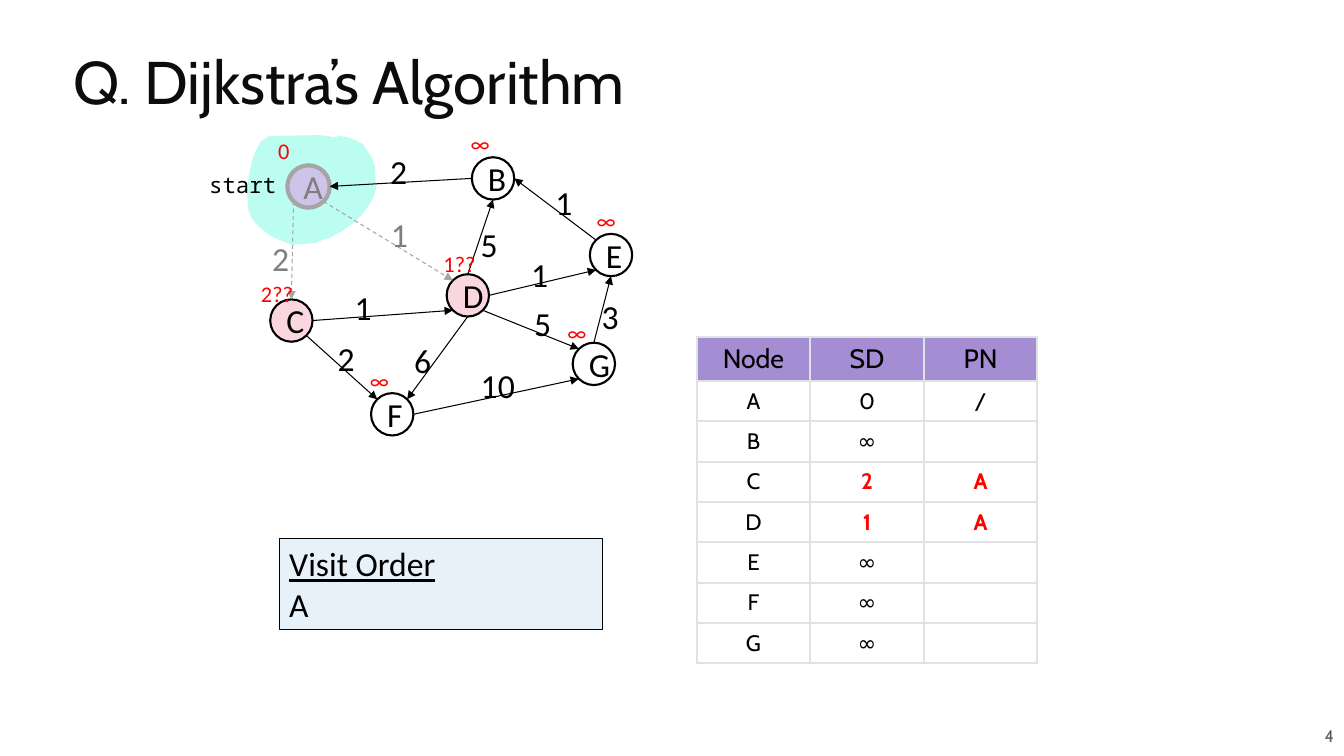
from math import cos, radians, sin

from lxml import etree
from pptx import Presentation
from pptx.dml.color import RGBColor
from pptx.enum import dml, shapes, text
from pptx.oxml import ns
from pptx.util import Inches, Pt

BLACK, RED, GREY, PALE = "000000", "FF0000", "7F7F7F", "A5A5A5"
PINK, LILAC = "FAD7DE", "CEC4EB"
SIZE = 0.42

# name: left, top, fill
NODES = {
    "A": (2.85, 1.64, LILAC), "B": (4.68, 1.56, None), "C": (2.68, 2.97, PINK),
    "D": (4.43, 2.72, PINK), "F": (3.68, 3.9, None), "E": (5.85, 2.32, None),
    "G": (5.68, 3.4, None),
}
# from node and site, to node and site, weight, left and top of the weight
# sites run counter-clockwise from 0 at the top, in steps of 45 degrees
EDGES = [
    ("A", 3, "C", 0, "2", 2.6, 2.31), ("B", 2, "A", 6, "2", 3.77, 1.45),
    ("D", 0, "B", 4, "5", 4.67, 2.17), ("A", 5, "D", 1, "1", 3.78, 2.07),
    ("C", 6, "D", 3, "1", 3.42, 2.8), ("D", 6, "E", 3, "1", 5.17, 2.47),
    ("E", 1, "B", 6, "1", 5.41, 1.76), ("C", 5, "F", 1, "2", 3.25, 3.3),
    ("D", 4, "F", 7, "6", 4.01, 3.32), ("D", 5, "G", 1, "5", 5.2, 2.96),
    ("G", 0, "E", 4, "3", 5.87, 2.89), ("F", 6, "G", 3, "10", 4.67, 3.57),
]
DISTS = [
    ("0", 2.66, 1.31, 0.32), ("∞", 4.57, 1.24, 0.36), ("∞", 5.82, 2.01, 0.36),
    ("∞", 5.53, 3.12, 0.36), ("1??", 4.3, 2.43, 0.52), ("2??", 2.49, 2.73, 0.52),
    ("∞", 3.57, 3.59, 0.36),
]
ROWS = [
    ("Node", "SD", "PN"), ("A", "0", "/"), ("B", "∞", ""), ("C", "2", "A"),
    ("D", "1", "A"), ("E", "∞", ""), ("F", "∞", ""), ("G", "∞", ""),
]
FOUND = ("C", "D")
HALO = [
    (3.37, 1.35), (3.3, 1.36), (3.26, 1.35), (3.16, 1.34), (2.67, 1.35),
    (2.62, 1.38), (2.59, 1.4), (2.57, 1.44), (2.55, 1.47), (2.51, 1.56),
    (2.48, 1.69), (2.47, 1.73), (2.45, 1.87), (2.46, 2.07), (2.5, 2.17),
    (2.55, 2.23), (2.61, 2.28), (2.67, 2.33), (2.72, 2.36), (2.83, 2.4),
    (2.89, 2.43), (3.13, 2.41), (3.2, 2.38), (3.27, 2.36), (3.34, 2.32),
    (3.4, 2.29), (3.46, 2.24), (3.51, 2.21), (3.56, 2.16), (3.62, 2.09),
    (3.68, 2.0), (3.71, 1.94), (3.73, 1.87), (3.72, 1.66), (3.7, 1.59),
    (3.66, 1.52), (3.62, 1.46), (3.6, 1.43), (3.5, 1.38), (3.44, 1.36),
]

deck = Presentation()
deck.slide_width, deck.slide_height = Inches(13.33), Inches(7.5)
slide = deck.slides.add_slide(deck.slide_layouts[6])
ALIGN, ANCHOR = text.PP_ALIGN, text.MSO_ANCHOR


def box(*sides):
    return [Inches(side) for side in sides]


def tint(code):
    return RGBColor.from_string(code)


def write(frame, words, size=24, font="Calibri", color=BLACK, bold=False,
          align=ALIGN.LEFT, lead=None, under=0):
    """Fill a text frame line by line; the first `under` lines are underlined."""
    for i, line in enumerate(words.split("\n")):
        para = frame.add_paragraph() if i else frame.paragraphs[0]
        para.alignment = align
        if lead:
            para.line_spacing = lead
        if not line:
            etree.SubElement(para._p, ns.qn("a:endParaRPr"), sz=str(size * 100))
            continue
        run = para.add_run()
        run.text = line
        run.font.size, run.font.name = Pt(size), font
        run.font.bold, run.font.underline = bold, i < under
        run.font.color.rgb = tint(color)


def pad(frame, x=0.1, y=0.05, anchor=ANCHOR.TOP):
    frame.word_wrap = True
    frame.margin_left = frame.margin_right = Inches(x)
    frame.margin_top = frame.margin_bottom = Inches(y)
    frame.vertical_anchor = anchor


def label(words, place, x=0.1, y=0.05, anchor=ANCHOR.TOP, **form):
    frame = slide.shapes.add_textbox(*box(*place)).text_frame
    pad(frame, x, y, anchor)
    write(frame, words, **form)


def paint(shape, fill, line=None, width=0.75):
    shape.shadow.inherit = False
    if fill:
        shape.fill.solid()
        shape.fill.fore_color.rgb = tint(fill)
    else:
        shape.fill.background()
    if line:
        shape.line.color.rgb = tint(line)
        shape.line.width = Pt(width)
    else:
        shape.line.fill.background()


def site(name, k):
    """Point on a node's rim."""
    left, top, _ = NODES[name]
    turn, r = radians(90 + 45 * k), SIZE / 2
    return left + r + r * cos(turn), top + r - r * sin(turn)


def arrow(start, end, color, dash):
    link = slide.shapes.add_connector(
        shapes.MSO_CONNECTOR.STRAIGHT, *box(*start, *end))
    link.line.color.rgb = tint(color)
    link.line.width = Pt(0.75)
    if dash:
        link.line.dash_style = dml.MSO_LINE.DASH
    etree.SubElement(link.line._get_or_add_ln(), ns.qn("a:tailEnd"), type="triangle")
    etree.SubElement(link._element.spPr, ns.qn("a:effectLst"))


def edge(cell, color, width):
    """Draw all four borders of a cell."""
    props = cell._tc.get_or_add_tcPr()
    for i, side in enumerate(("lnL", "lnR", "lnT", "lnB")):
        ln = etree.Element(ns.qn("a:" + side), w=str(Pt(width)))
        fill = etree.SubElement(ln, ns.qn("a:solidFill"))
        etree.SubElement(fill, ns.qn("a:srgbClr"), val=color)
        props.insert(i, ln)


label("4", (8.65, 7.1, 4.68, 0.4), y=0.1, anchor=ANCHOR.MIDDLE,
      size=12, font="Cabin", color="595959", align=ALIGN.RIGHT)

grid = slide.shapes.add_table(len(ROWS), 3, *box(6.91, 3.34, 3.38, 3.25)).table
for r, row in enumerate(ROWS):
    grid.rows[r].height = Inches(0.4 if r else 0.44)
    for c, words in enumerate(row):
        cell = grid.cell(r, c)
        cell.fill.solid()
        cell.fill.fore_color.rgb = tint("FFFFFF" if r else "A48DD3")
        cell.vertical_anchor = ANCHOR.MIDDLE
        cell.margin_left = cell.margin_right = Inches(0.07)
        cell.margin_top = cell.margin_bottom = Inches(0.06)
        hot = c > 0 and row[0] in FOUND
        write(cell.text_frame, words, size=16 if r else 19, font="Cabin",
              color=RED if hot else BLACK, bold=hot, align=ALIGN.CENTER)
        edge(cell, "DFE3E5", 1.5)

rim = [box(*point) for point in HALO]
pen = slide.shapes.build_freeform(*rim[0])
pen.add_line_segments(rim[1:])
paint(pen.convert_to_shape(), "BCFDF1")

label("Q. Dijkstra’s Algorithm", (0.63, 0.29, 12.23, 1.11), anchor=ANCHOR.MIDDLE,
      size=43, font="Cabin", color="0C0C0C", lead=0.9)

order = slide.shapes.add_shape(
    shapes.MSO_SHAPE.RECTANGLE, *box(2.77, 5.34, 3.21, 0.91))
paint(order, "E7F1FA", BLACK)
pad(order.text_frame)
write(order.text_frame, "Visit Order\nA", under=1)

for name, (left, top, fill) in NODES.items():
    node = slide.shapes.add_shape(
        shapes.MSO_SHAPE.OVAL, *box(left, top, SIZE, SIZE))
    done = name == "A"
    paint(node, fill, PALE if done else BLACK, 3 if done else 1.5)
    pad(node.text_frame, anchor=ANCHOR.MIDDLE)
    write(node.text_frame, name, color=GREY if done else BLACK, align=ALIGN.CENTER)

for head, out, goal, into, cost, left, top in EDGES:
    used = head == "A"
    arrow(site(head, out), site(goal, into), PALE if used else BLACK, used)
    label(cost, (left, top, 0.2 + 0.17 * len(cost), 0.5),
          color=GREY if used else BLACK)

for words, left, top, width in DISTS:
    label(words, (left, top, width, 0.37), size=16, color=RED)

label("start", (1.81, 1.57, 1.06, 0.52), x=0.13, y=0.13,
      size=16, font="Noto Sans Mono", align=ALIGN.RIGHT)

deck.save("out.pptx")
